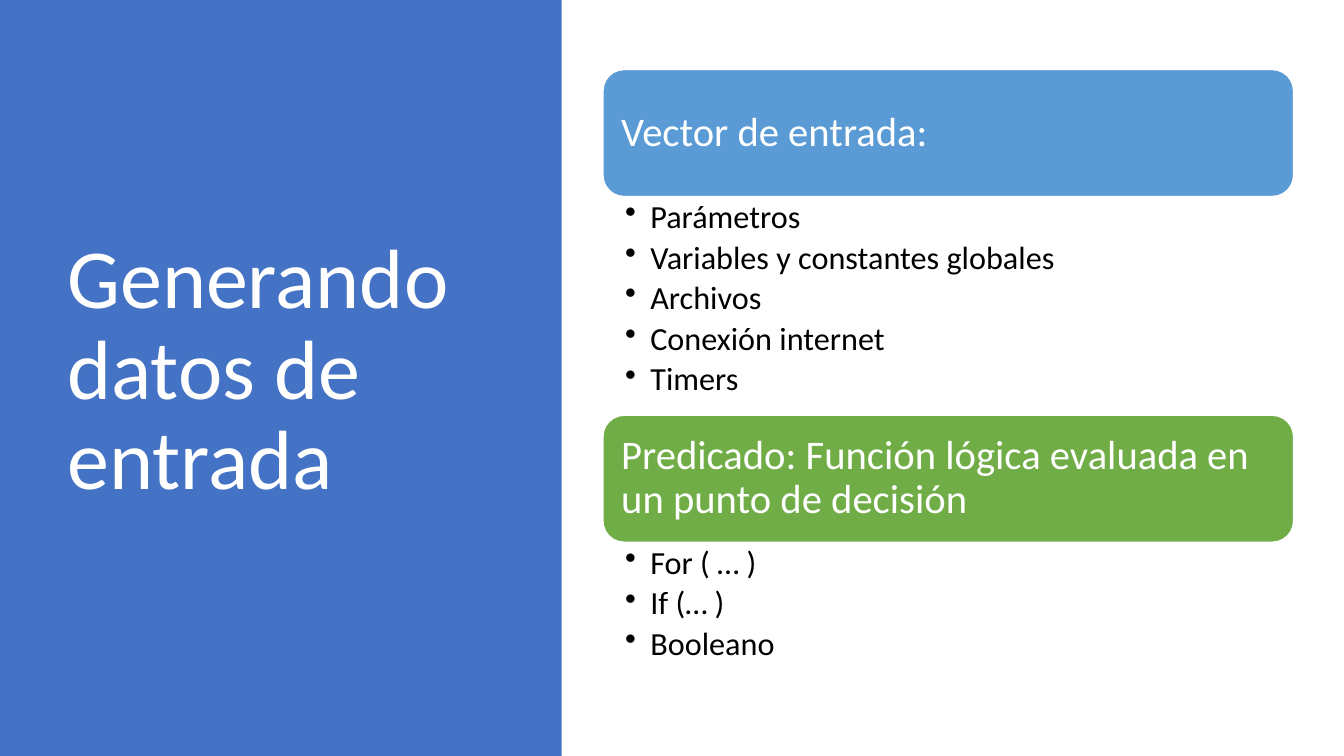
from dataclasses import dataclass

from lxml import etree
from pptx import Presentation
from pptx import util as u
from pptx.dml.color import RGBColor
from pptx.enum import shapes, text
from pptx.oxml.ns import qn


@dataclass(frozen=True)
class Theme:
    """Colours, font and type sizes of the slide."""
    font: str = "Calibri"
    panel: str = "4472C4"
    blue: str = "5B9BD5"
    green: str = "70AD47"
    light: str = "FFFFFF"
    dark: str = "000000"
    title: int = 60
    heading: int = 29
    body: int = 23


THEME = Theme()
LEFT, WIDTH, HEADING_HEIGHT = 5.98, 6.85, 1.26
SECTIONS = [
    (0.69, 2.17, THEME.blue, "Vector de entrada:",
     ["Parámetros", "Variables y constantes globales", "Archivos",
      "Conexión internet", "Timers"]),
    (4.12, 1.31, THEME.green,
     "Predicado: Función lógica evaluada en un punto de decisión",
     ["For ( … )", "If (… )", "Booleano"]),
]


def add_block(s, kind, box, fill, line=None):
    """Add a filled preset shape without a shadow."""
    sp = s.shapes.add_shape(kind, *map(u.Inches, box))
    sp.shadow.inherit = False
    sp.fill.solid()
    sp.fill.fore_color.rgb = RGBColor.from_string(fill)
    if line:
        sp.line.color.rgb = RGBColor.from_string(line)
        sp.line.width = u.Pt(1)
    else:
        sp.line.fill.background()
    return sp


def write(sp, lines, size, color, insets, anchor=text.MSO_ANCHOR.MIDDLE):
    """Write left-aligned paragraphs in a shape and return them."""
    tf = sp.text_frame
    tf.word_wrap = True
    tf.vertical_anchor = anchor
    tf.margin_left, tf.margin_top, tf.margin_right, tf.margin_bottom = map(u.Inches, insets)
    tf.text = "\n".join(lines)
    for p in tf.paragraphs:
        p.alignment = text.PP_ALIGN.LEFT
        p.line_spacing = 0.9
        p.font.name = THEME.font
        p.font.size = u.Pt(size)
        p.font.color.rgb = RGBColor.from_string(color)
    return tf.paragraphs


def add_bullet(p):
    """Give a paragraph a hanging bullet."""
    p.space_after = u.Pt(4.2)
    pPr = p._p.get_or_add_pPr()
    indent = u.Inches(0.25)
    pPr.set("marL", str(indent))
    pPr.set("indent", str(-indent))
    bullet = etree.Element(qn("a:buChar"), char="•")
    pPr.find(qn("a:defRPr")).addprevious(bullet)


def add_title(s, title):
    """Add the side panel and its title."""
    add_block(s, shapes.MSO_SHAPE.RECTANGLE, (0, 0, 5.57, 7.5), THEME.panel)
    sp = s.shapes.add_textbox(*map(u.Inches, (0.57, 0.68, 4.16, 6.02)))
    write(sp, [title], THEME.title, THEME.light, (0.1, 0.05, 0.1, 0.05))


def add_section(s, top, list_height, fill, heading, items):
    """Add a rounded heading with a bulleted list under it."""
    sp = add_block(s, shapes.MSO_SHAPE.ROUNDED_RECTANGLE,
                   (LEFT, top, WIDTH, HEADING_HEIGHT), fill, THEME.light)
    write(sp, [heading], THEME.heading, THEME.light, (0.12,) * 4)
    box = (LEFT, top + HEADING_HEIGHT, WIDTH, list_height)
    sp = s.shapes.add_textbox(*map(u.Inches, box))
    for p in write(sp, items, THEME.body, THEME.dark, (0.22, 0.04, 0.23, 0.04),
                   text.MSO_ANCHOR.TOP):
        add_bullet(p)


def main():
    """Build and save the slide."""
    prs = Presentation()
    prs.slide_width, prs.slide_height = u.Inches(13.33), u.Inches(7.5)
    s = prs.slides.add_slide(prs.slide_layouts[6])
    add_title(s, "Generando datos de entrada")
    for section in SECTIONS:
        add_section(s, *section)
    prs.save("out.pptx")


if __name__ == "__main__":
    main()
